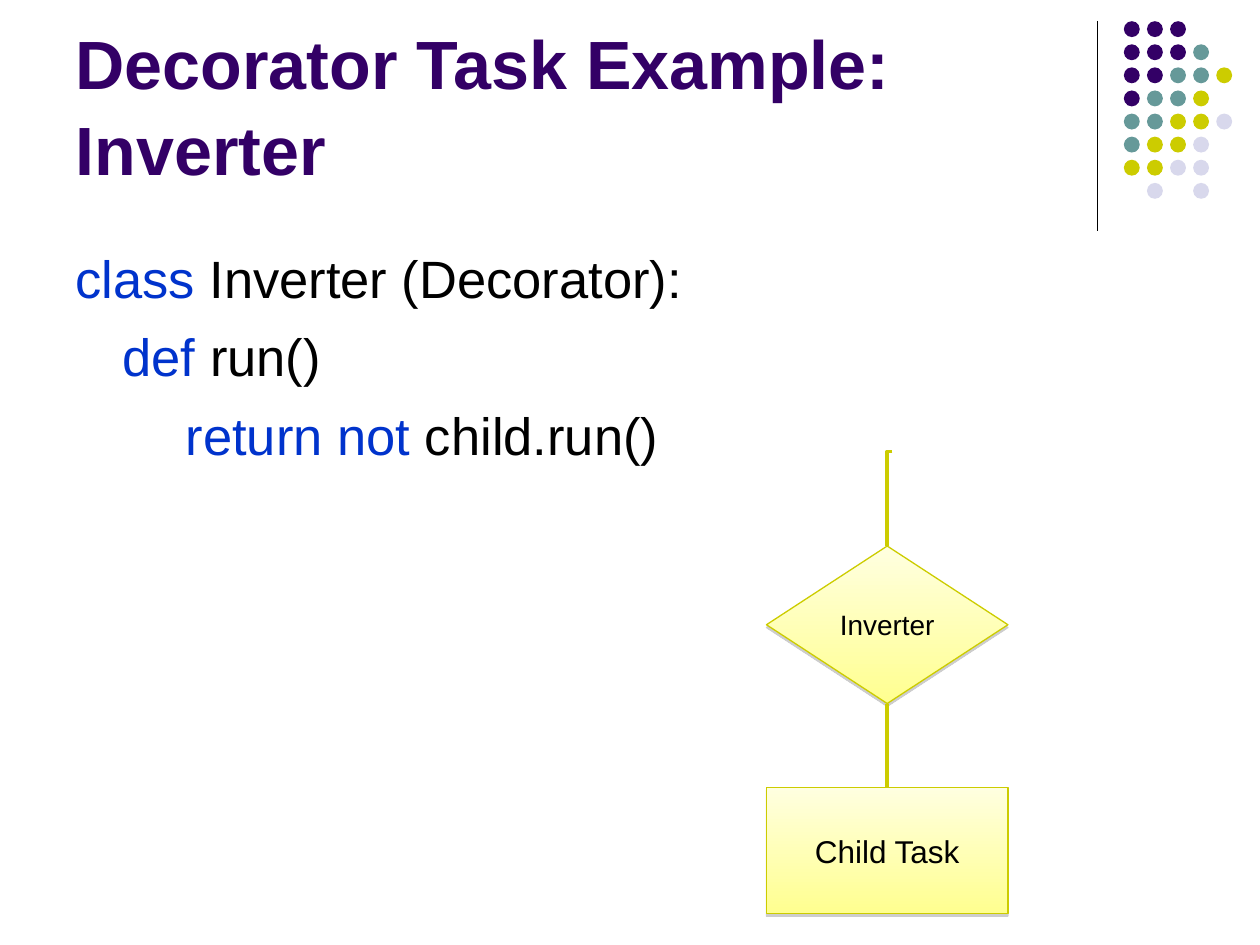
from dataclasses import dataclass

from lxml import etree
from pptx import Presentation
from pptx.dml.color import RGBColor
from pptx.enum.shapes import MSO_CONNECTOR, MSO_SHAPE
from pptx.enum.text import MSO_ANCHOR, MSO_AUTO_SIZE, PP_ALIGN
from pptx.oxml.ns import qn
from pptx.util import Pt

LINE, ELBOW = MSO_CONNECTOR.STRAIGHT, MSO_CONNECTOR.ELBOW
OVAL, RHOMB, RECT = MSO_SHAPE.OVAL, MSO_SHAPE.DIAMOND, MSO_SHAPE.RECTANGLE
LEFT, CENTER = PP_ALIGN.LEFT, PP_ALIGN.CENTER
BASE, MIDDLE = MSO_ANCHOR.BOTTOM, MSO_ANCHOR.MIDDLE
NO_FIT = MSO_AUTO_SIZE.NONE


@dataclass(frozen=True)
class Theme:
    face: str = "Arial"
    ink: str = "000000"
    purple: str = "330066"
    teal: str = "669999"
    lime: str = "CCCC00"
    pale: str = "D8D8EC"
    key: str = "0033CC"
    light: str = "FFFFE0"
    deep: str = "FFFF90"
    shade: str = "808080"
    head: float = 39
    code: float = 30
    task: float = 18
    small: float = 16


def rgb(code):
    return RGBColor.from_string(code)


def add(parent, tag, **attrs):
    return etree.SubElement(parent, qn(tag), {k: str(v) for k, v in attrs.items()})


class Board:
    def __init__(self, slide, theme):
        self.slide, self.theme = slide, theme
        self.shapes = slide.shapes

    def font(self, para, size, color=None, bold=False):
        font = para.font
        font.name, font.size, font.bold = self.theme.face, Pt(size), bold
        if color:
            font.color.rgb = rgb(color)

    def title(self, text, left, top, width, height):
        box = self.shapes.title
        box.left, box.top, box.width, box.height = map(Pt, (left, top, width, height))
        frame = box.text_frame
        frame.text = text
        frame.auto_size, frame.vertical_anchor = NO_FIT, BASE
        para = frame.paragraphs[0]
        para.alignment, para.line_spacing = LEFT, 1.05
        self.font(para, self.theme.head, self.theme.purple, True)

    def code(self, lines, left, top, width, height):
        """Write lines of (tabs, keyword, rest) with a hanging indent."""
        frame = self.shapes.add_textbox(*map(Pt, (left, top, width, height))).text_frame
        frame.word_wrap = True
        for i, (tabs, word, rest) in enumerate(lines):
            para = frame.add_paragraph() if i else frame.paragraphs[0]
            props = para._p.get_or_add_pPr()
            props.set("marL", str(Pt(27)))
            props.set("indent", str(Pt(-27)))
            stops = add(props, "a:tabLst")
            for n in range(8):
                add(stops, "a:tab", pos=Pt(72 * n), algn="l")
            para.line_spacing = 1.04
            if i:
                para.space_before = Pt(7.5)
            self.font(para, self.theme.code)
            for text, color in (("\t" * tabs + word, self.theme.key), (rest, self.theme.ink)):
                run = para.add_run()
                run.text = text
                run.font.color.rgb = rgb(color)

    def node(self, kind, text, size, left, top, width, height):
        shape = self.shapes.add_shape(kind, *map(Pt, (left, top, width, height)))
        fill = shape.fill
        fill.gradient()
        fill.gradient_angle = 270
        for stop, color in zip(fill.gradient_stops, (self.theme.light, self.theme.deep)):
            stop.color.rgb = rgb(color)
        shape.line.color.rgb, shape.line.width = rgb(self.theme.lime), Pt(0.75)
        shape.shadow.inherit = False
        effects = shape._element.spPr.find(qn("a:effectLst"))
        cast = add(effects, "a:outerShdw", blurRad=0, dist=Pt(1.6), dir=5400000, rotWithShape=0)
        add(add(cast, "a:srgbClr", val=self.theme.shade), "a:alpha", val=38000)
        frame = shape.text_frame
        frame.text, frame.vertical_anchor = text, MIDDLE
        para = frame.paragraphs[0]
        para.alignment = CENTER
        self.font(para, size, self.theme.ink)
        return shape

    def link(self, kind, start, end, color, weight):
        line = self.shapes.add_connector(kind, *map(Pt, (*start, *end)))
        line.line.color.rgb, line.line.width = rgb(color), Pt(weight)
        add(line._element.spPr, "a:effectLst")
        return line

    def dots(self, rows, left, top, step, size):
        """Draw one dot per letter; a space leaves a gap."""
        theme = self.theme
        colors = {"P": theme.purple, "T": theme.teal, "L": theme.lime, "G": theme.pale}
        group = self.shapes.add_group_shape()
        for r, row in enumerate(rows):
            for c, mark in enumerate(row):
                if mark == " ":
                    continue
                spot = (left + c * step, top + r * step, size, size)
                dot = group.shapes.add_shape(OVAL, *map(Pt, spot))
                dot.fill.solid()
                dot.fill.fore_color.rgb = rgb(colors[mark])
                dot.line.fill.background()
                dot.shadow.inherit = False


def main():
    deck = Presentation()
    deck.slide_width, deck.slide_height = Pt(720), Pt(540)
    theme = Theme()
    board = Board(deck.slides.add_slide(deck.slide_layouts[5]), theme)

    board.link(LINE, (627, 12), (627, 132), theme.ink, 0.75)
    rows = ("PPP", "PPPT", "PPTTL", "PTTL", "TTLLG", "TLLG", "LLGG", " G G")
    board.dots(rows, 642.2, 12.1, 13.2, 9.1)

    board.title("Decorator Task Example:\vInverter", 36, 9.5, 594, 102)
    lines = (
        (0, "class", " Inverter (Decorator):"),
        (1, "def", " run()"),
        (2, "return not ", "child.run()"),
    )
    board.code(lines, 36, 135.5, 648, 347)

    left, width = 438, 138
    mid = left + width / 2
    invert = board.node(RHOMB, "Inverter", theme.small, left, 312, width, 90)
    child = board.node(RECT, "Child Task", theme.task, left, 450, width, 72)
    down = board.link(ELBOW, (mid, 402), (mid, 450), theme.lime, 2)
    down.begin_connect(invert, 2)
    down.end_connect(child, 0)
    enter = board.link(ELBOW, (mid + 3, 258), (mid, 312), theme.lime, 2)
    guides = enter._element.spPr.find(qn("a:prstGeom")).find(qn("a:avLst"))
    add(guides, "a:gd", name="adj1", fmla="val 100000")

    deck.save("out.pptx")


if __name__ == "__main__":
    main()
